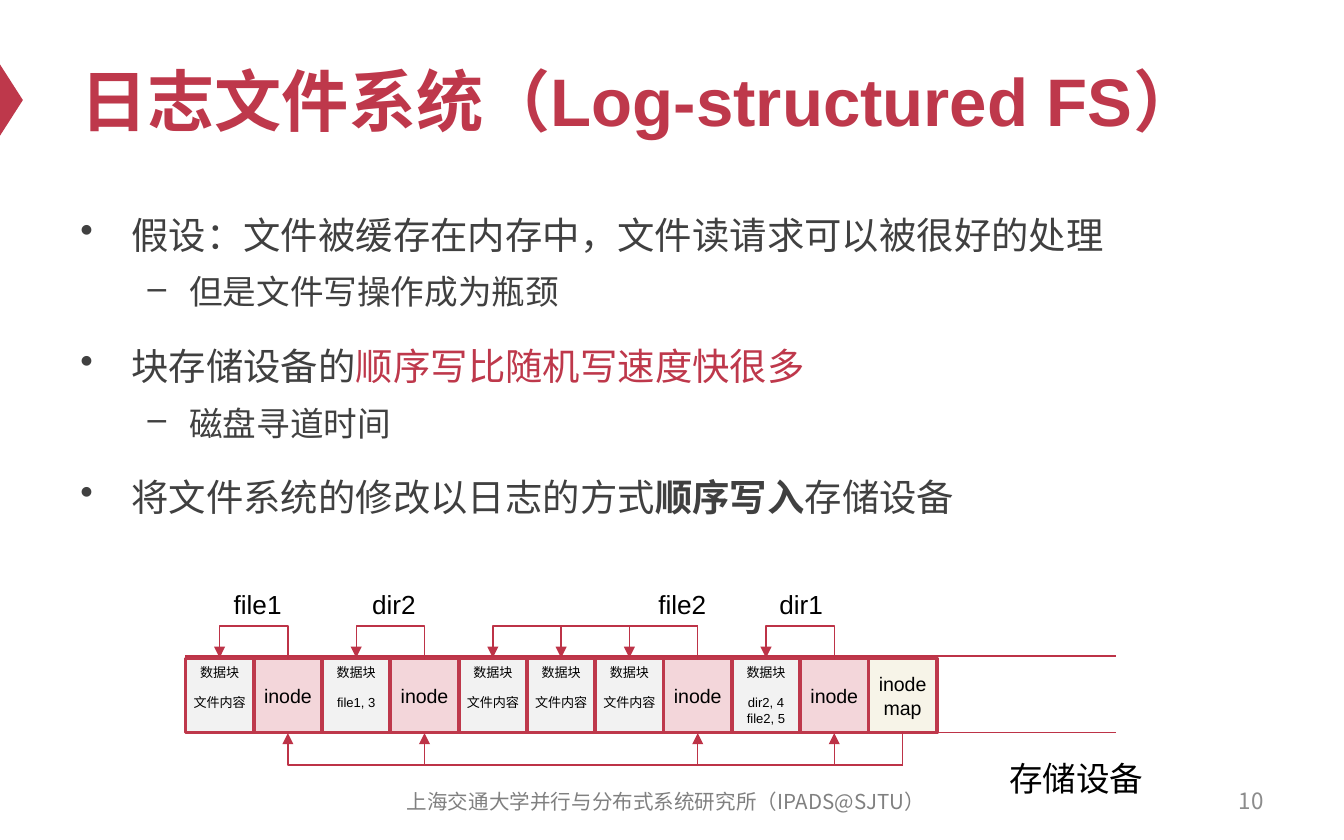
import pptx
import pptx.util
import pptx.dml.color
import pptx.enum.shapes
import pptx.enum.text
import pptx.oxml
import pptx.oxml.ns

Inches, Pt = pptx.util.Inches, pptx.util.Pt
RGBColor = pptx.dml.color.RGBColor
SHAPE = pptx.enum.shapes.MSO_SHAPE
CONNECTOR = pptx.enum.shapes.MSO_CONNECTOR
ALIGN, ANCHOR = pptx.enum.text.PP_ALIGN, pptx.enum.text.MSO_ANCHOR
qn = pptx.oxml.ns.qn

COLORS = {
    "red": "BE384B", "line": "BD3347", "body": "404040", "black": "000000",
    "footer": "808080", "number": "8C8C8C",
    "data": "F2F2F2", "inode": "F3D6DA", "map": "F7F4E8",
}


def style_run(run, size, color, bold=False, font="Arial"):
    run.font.size = Pt(size)
    run.font.bold = bold
    run.font.name = font
    run.font.color.rgb = RGBColor.from_string(COLORS[color])
    east_asian = pptx.oxml.parse_xml(
        f'<a:ea {pptx.oxml.ns.nsdecls("a")} typeface="{font}"/>')
    run.font._element.find(qn("a:latin")).addnext(east_asian)


def style_connector(connector, arrow=False):
    connector.line.color.rgb = RGBColor.from_string(COLORS["line"])
    connector.line.width = Pt(0.75)
    properties = connector._element.spPr
    if arrow:
        tail = properties.find(qn("a:ln")).makeelement(qn("a:tailEnd"), {"type": "triangle"})
        properties.find(qn("a:ln")).append(tail)
    properties.append(properties.makeelement(qn("a:effectLst"), {}))


presentation = pptx.Presentation()
presentation.slide_width = Inches(10)
presentation.slide_height = Inches(6.25)
slide = presentation.slides.add_slide(presentation.slide_layouts[6])
shapes = slide.shapes

# Marker at the left edge
marker = shapes.add_shape(SHAPE.ISOSCELES_TRIANGLE, Inches(-0.18), Inches(0.66),
                          Inches(0.53), Inches(0.17))
marker.rotation = 90
marker.shadow.inherit = False
marker.fill.solid()
marker.fill.fore_color.rgb = RGBColor.from_string(COLORS["red"])
marker.line.fill.background()

# Single-line texts: text, box, size, colour, bold, font, alignment, anchor, wrap
NOTO = "Noto Sans CJK SC"
texts = [
    ("日志文件系统（Log-structured FS）", (0.5, 0.25, 9, 0.98), 36, "red", True,
     "Arial", ALIGN.LEFT, ANCHOR.MIDDLE, True),
    ("10", (7.17, 5.79, 2.33, 0.33), 12, "number", False,
     NOTO, ALIGN.RIGHT, ANCHOR.MIDDLE, True),
    ("上海交通大学并行与分布式系统研究所（IPADS@SJTU）", (2.79, 5.8, 4.33, 0.33), 11,
     "footer", False, NOTO, ALIGN.CENTER, ANCHOR.MIDDLE, True),
    ("存储设备", (7.41, 5.59, 1.21, 0.4), 18, "black", False,
     "Arial", ALIGN.LEFT, ANCHOR.TOP, False),
]
for label, left, width in [("file1", 1.64, 0.56), ("dir2", 2.67, 0.53),
                           ("file2", 4.8, 0.56), ("dir1", 5.7, 0.53)]:
    texts.append((label, (left, 4.33, width, 0.34), 14, "black", False,
                  "Arial", ALIGN.LEFT, ANCHOR.TOP, False))
for text, box, size, color, bold, font, alignment, anchor, wrap in texts:
    text_frame = shapes.add_textbox(*map(Inches, box)).text_frame
    text_frame.word_wrap = wrap
    text_frame.vertical_anchor = anchor
    text_frame.text = text
    paragraph = text_frame.paragraphs[0]
    paragraph.alignment = alignment
    style_run(paragraph.runs[0], size, color, bold, font)

# Bullet list: level and its runs (text, colour, bold)
bullets = [
    (0, [("假设：文件被缓存在内存中，文件读请求可以被很好的处理", "body", False)]),
    (1, [("但是文件写操作成为瓶颈", "body", False)]),
    (0, [("块存储设备的", "body", False), ("顺序写比随机写速度快很多", "red", False)]),
    (1, [("磁盘寻道时间", "body", False)]),
    (0, [("将文件系统的修改以日志的方式", "body", False), ("顺序写入", "body", True),
         ("存储设备", "body", False)]),
]
# Per level: left margin, hanging indent, bullet, text size, space before
LEVELS = [(0.38, 0.38, "•", 20, 12), (0.81, 0.31, "–", 18, 3.6)]
text_frame = shapes.add_textbox(Inches(0.5), Inches(1.46), Inches(9), Inches(4.12)).text_frame
text_frame.word_wrap = True
for index, (level, runs) in enumerate(bullets):
    margin, hanging, character, size, space = LEVELS[level]
    paragraph = text_frame.add_paragraph() if index else text_frame.paragraphs[0]
    paragraph.level = level
    paragraph.line_spacing = 1.2
    paragraph.space_before = Pt(space if index else 0)
    properties = paragraph._p.get_or_add_pPr()
    properties.set("marL", str(Inches(margin)))
    properties.set("indent", str(-Inches(hanging)))
    properties.append(properties.makeelement(qn("a:buChar"), {"char": character}))
    for text, color, bold in runs:
        run = paragraph.add_run()
        run.text = text
        style_run(run, size, color, bold)

# Edges of the storage device
for y in (4.88, 5.45):
    edge = shapes.add_connector(CONNECTOR.STRAIGHT, Inches(1.38), Inches(y),
                                Inches(8.3), Inches(y))
    style_connector(edge)

# Log blocks
LOG_LEFT, LOG_TOP, LOG_HEIGHT = 1.38, 4.9, 0.55
blocks = [
    ("data", ["数据块", "文件内容"]), ("inode", ["inode"]),
    ("data", ["数据块", "file1, 3"]), ("inode", ["inode"]),
    ("data", ["数据块", "文件内容"]), ("data", ["数据块", "文件内容"]),
    ("data", ["数据块", "文件内容"]), ("inode", ["inode"]),
    ("data", ["数据块", "dir2, 4", "file2, 5"]), ("inode", ["inode"]),
    ("map", ["inode", "map"]),
]
BLOCK_WIDTH = (6.97 - LOG_LEFT) / len(blocks)
for index, (kind, lines) in enumerate(blocks):
    block = shapes.add_shape(SHAPE.RECTANGLE, Inches(LOG_LEFT + index * BLOCK_WIDTH),
                             Inches(LOG_TOP), Inches(BLOCK_WIDTH), Inches(LOG_HEIGHT))
    block.shadow.inherit = False
    block.fill.solid()
    block.fill.fore_color.rgb = RGBColor.from_string(COLORS[kind])
    block.line.color.rgb = RGBColor.from_string(COLORS["red"])
    block.line.width = Pt(2)
    text_frame = block.text_frame
    text_frame.word_wrap = False
    text_frame.margin_left = text_frame.margin_right = 0
    text_frame.margin_top = text_frame.margin_bottom = Inches(0.04)
    text_frame.vertical_anchor = ANCHOR.TOP if kind == "data" else ANCHOR.MIDDLE
    text_frame.text = "\n".join(lines)
    for paragraph in text_frame.paragraphs:
        paragraph.alignment = ALIGN.CENTER
        style_run(paragraph.runs[0], 7 if kind == "data" else 10.5, "black")
    if kind == "data":
        text_frame.paragraphs[1].space_before = Pt(8)

# Pointers between blocks: from, to, above or below the log
pointers = [(10, target, "below") for target in (9, 3, 1, 7)]
pointers += [(source, target, "above") for source, target in
             [(1, 0), (7, 6), (9, 8), (3, 2), (7, 4), (7, 5)]]
STEP, REACH = 0.01, 0.25
for source, target, side in pointers:
    span = (source - target) * BLOCK_WIDTH
    center_x = LOG_LEFT + (source + target + 1) / 2 * BLOCK_WIDTH
    center_y = LOG_TOP if side == "above" else LOG_TOP + LOG_HEIGHT
    left, top = center_x - STEP / 2, center_y - span / 2
    pointer = shapes.add_connector(CONNECTOR.ELBOW, Inches(left), Inches(top),
                                   Inches(left + STEP), Inches(top + span))
    # A turned elbow leaves its block vertically and comes back beside it
    transform = pointer._element.spPr.find(qn("a:xfrm"))
    transform.set("rot", str((270 if side == "above" else 90) * 60000))
    if side == "above":
        transform.set("flipV", "1")
    adjustments = pointer._element.spPr.find(qn("a:prstGeom")).find(qn("a:avLst"))
    adjustments.append(adjustments.makeelement(
        qn("a:gd"), {"name": "adj1", "fmla": f"val {round(REACH / STEP * 100000)}"}))
    style_connector(pointer, arrow=True)

presentation.save("out.pptx")
